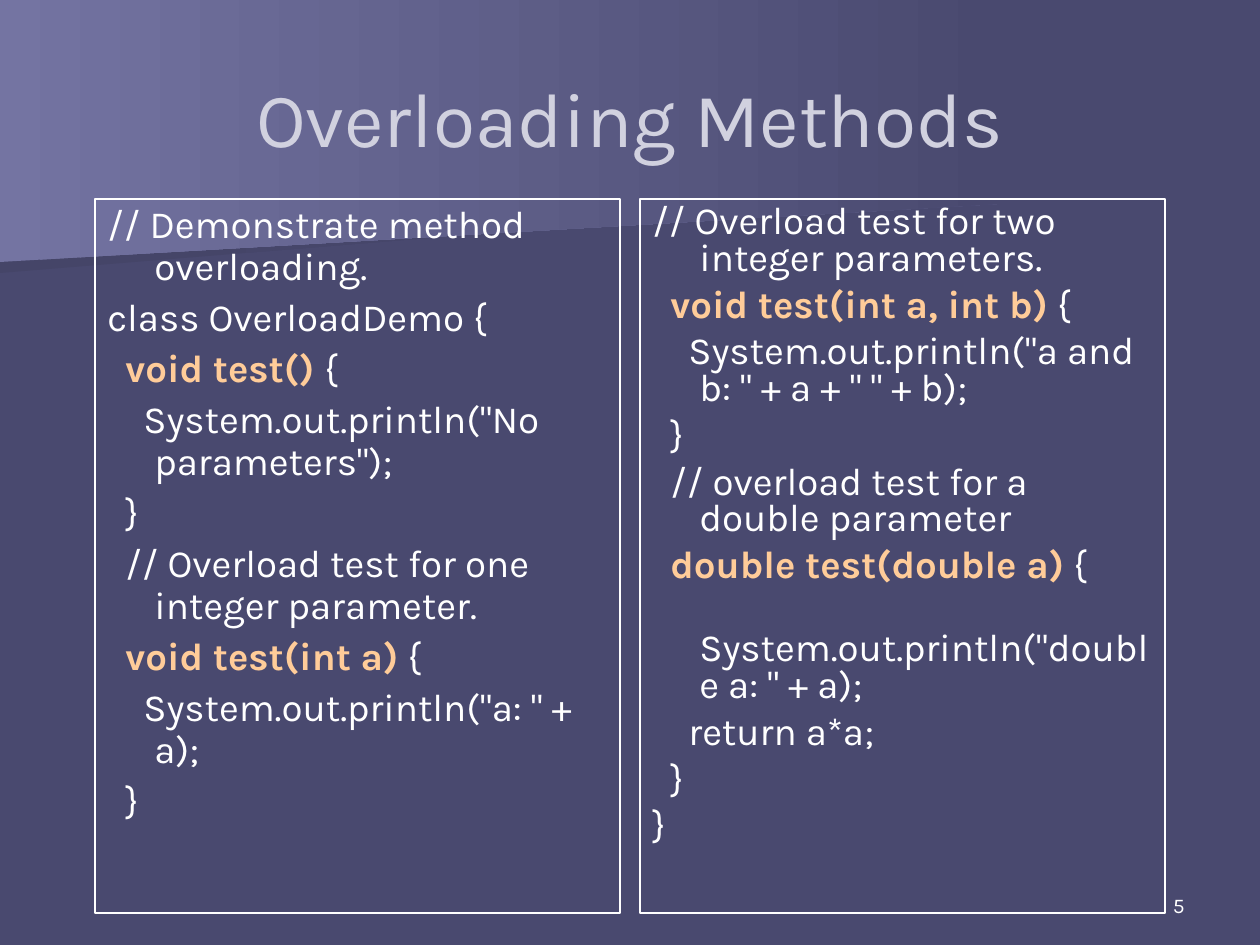
"""Build a slide that shows method overloading in two code panels."""
from pptx import Presentation
from pptx import util as u
from pptx.dml.color import RGBColor
from pptx.enum import shapes, text

SCALE = 914400 / 126
WHITE, ACCENT, BACK = "FFFFFF", "FFCC99", "49496F"
HANG, STEP = 47, 18

LEFT_CODE = [
    (0, "", "// Demonstrate method overloading."),
    (0, "", "class OverloadDemo {"),
    (1, "void test() ", "{"),
    (2, "", 'System.out.println("No parameters");'),
    (1, "", "}"),
    (1, "", "// Overload test for one integer parameter."),
    (1, "void test(int a)", " {"),
    (2, "", 'System.out.println("a: " + a);'),
    (1, "", "}"),
]
RIGHT_CODE = [
    (0, "", "// Overload test for two integer parameters."),
    (1, "void test(int a, int b)", " {"),
    (2, "", 'System.out.println("a and b: " + a + " " + b);'),
    (1, "", "}"),
    (1, "", "// overload test for a double parameter"),
    (1, "double test(double a)", " {"),
    (None, "", 'System.out.println("double a: " + a);'),
    (2, "", "return a*a;"),
    (1, "", "}"),
    (0, "", "}"),
]


def px(length):
    return u.Emu(round(length * SCALE))


def color(value):
    return RGBColor.from_string(value)


def write(para, words, size=22, fill=WHITE, bold=False):
    span = para.add_run()
    span.text = words
    span.font.name = "Karla"
    span.font.size = u.Pt(size)
    span.font.bold = bold
    span.font.color.rgb = color(fill)


class Builder:
    def __init__(self, slide):
        self.slide = slide
        self.slide.background.fill.solid()
        self.slide.background.fill.fore_color.rgb = color(BACK)

    def band(self, points, start):
        corners = [(px(x), px(y)) for x, y in points]
        outline = self.slide.shapes.build_freeform(*corners[0])
        outline.add_line_segments(corners[1:], close=True)
        shape = outline.convert_to_shape()
        shape.shadow.inherit = False
        shape.line.fill.background()
        shape.fill.gradient()
        shape.fill.gradient_angle = 0
        for stop, value in zip(shape.fill.gradient_stops, (start, BACK)):
            stop.color.rgb = color(value)

    def label(self, area, words, size, fill, align, anchor):
        box = self.slide.shapes.add_textbox(*map(px, area))
        frame = box.text_frame
        frame.word_wrap = True
        frame.vertical_anchor = anchor
        para = frame.paragraphs[0]
        para.alignment = align
        write(para, words, size=size, fill=fill)

    def code(self, area, lines, spacing):
        box = self.slide.shapes.add_shape(shapes.MSO_SHAPE.RECTANGLE, *map(px, area))
        box.shadow.inherit = False
        box.fill.background()
        box.line.color.rgb = color(WHITE)
        box.line.width = u.Pt(0.75)
        frame = box.text_frame
        frame.word_wrap = True
        frame.vertical_anchor = text.MSO_ANCHOR.TOP
        for index, (level, strong, plain) in enumerate(lines):
            para = frame.add_paragraph() if index else frame.paragraphs[0]
            para.alignment = text.PP_ALIGN.LEFT
            para.line_spacing = spacing
            para.space_before = u.Pt(26.5 if level is None else 5.5)
            first = 0 if level is None else level * STEP - HANG
            props = para._p.get_or_add_pPr()
            props.set("marL", str(px(HANG)))
            props.set("indent", str(px(first)))
            if strong:
                write(para, strong, fill=ACCENT, bold=True)
            write(para, plain)


def main():
    deck = Presentation()
    deck.slide_width, deck.slide_height = px(1260), px(945)
    page = Builder(deck.slides.add_slide(deck.slide_layouts[6]))
    page.band([(980, 193), (0, 273), (0, 127), (982, 127), (980, 161)], "454568")
    page.band([(998, 204), (0, 262), (0, 0), (998, 0)], "7474A2")
    page.label((903, 861, 294, 63), "5", 12, WHITE,
               text.PP_ALIGN.RIGHT, text.MSO_ANCHOR.BOTTOM)
    page.label((63, 38, 1134, 158), "Overloading Methods", 44, "D1D1DF",
               text.PP_ALIGN.CENTER, text.MSO_ANCHOR.MIDDLE)
    for left, lines, spacing in ((95, LEFT_CODE, 0.9), (640, RIGHT_CODE, 0.8)):
        page.code((left, 199, 525, 714), lines, spacing)
    deck.save("out.pptx")


if __name__ == "__main__":
    main()
